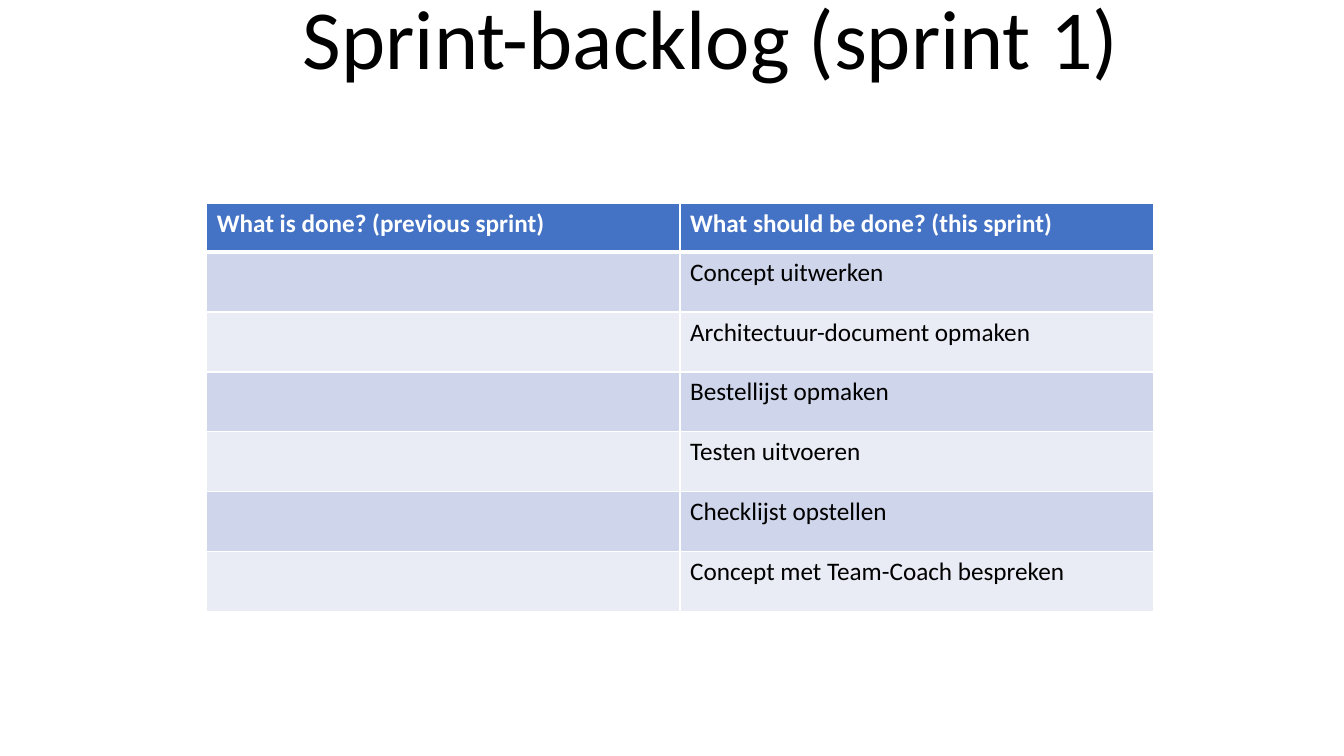
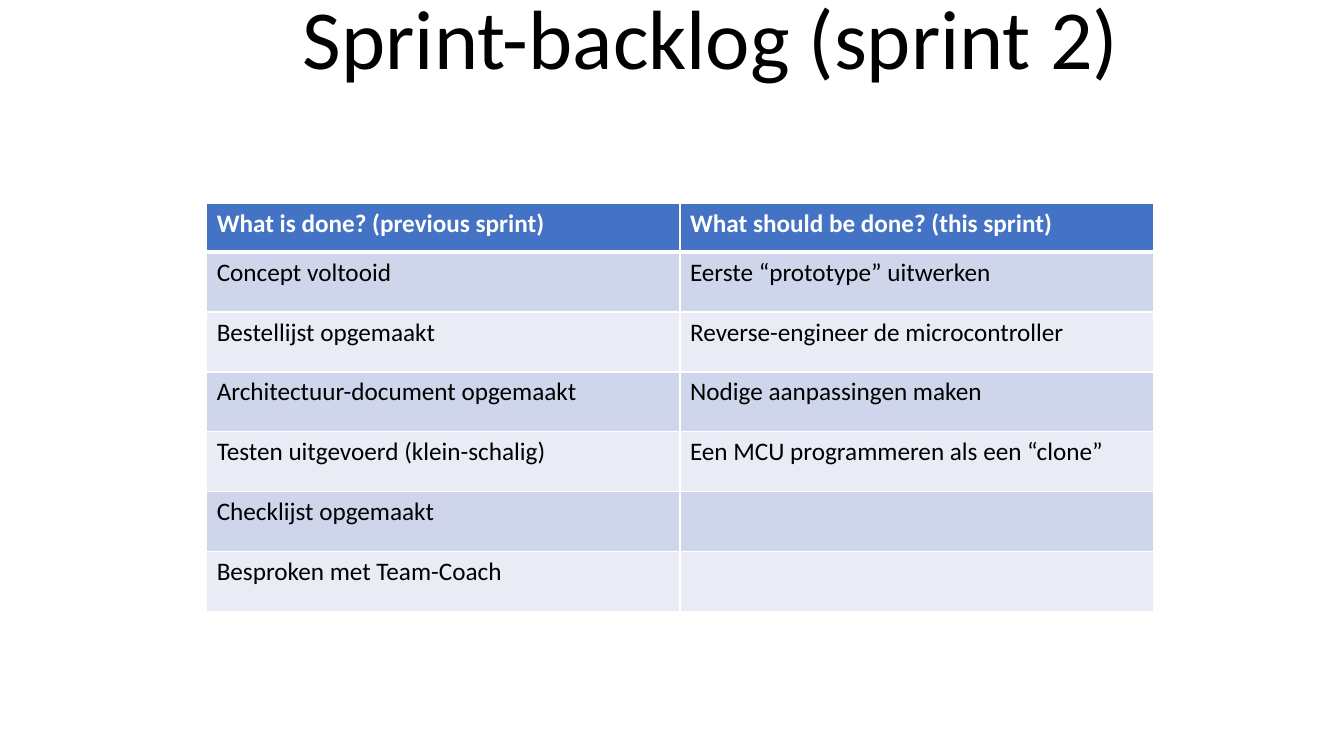
from itertools import zip_longest

from pptx import Presentation
from pptx.dml.color import RGBColor
from pptx.enum.text import MSO_ANCHOR, MSO_AUTO_SIZE, PP_ALIGN
from pptx.oxml.ns import qn
from pptx.util import Inches, Pt
from lxml.etree import SubElement

HEADERS = ("What is done? (previous sprint)", "What should be done? (this sprint)")
SPRINTS = [
    {
        "title": "Sprint-backlog (sprint 1)",
        "done": [],
        "to_do": [
            "Concept uitwerken",
            "Architectuur-document opmaken",
            "Bestellijst opmaken",
            "Testen uitvoeren",
            "Checklijst opstellen",
            "Concept met Team-Coach bespreken",
        ],
    },
    {
        "title": "Sprint-backlog (sprint 2)",
        "done": [
            "Concept voltooid",
            "Bestellijst opgemaakt",
            "Architectuur-document opgemaakt",
            "Testen uitgevoerd (klein-schalig)",
            "Checklijst opgemaakt",
            "Besproken met Team-Coach",
        ],
        "to_do": [
            "Eerste “prototype” uitwerken",
            "Reverse-engineer de microcontroller",
            "Nodige aanpassingen maken",
            "Een MCU programmeren als een “clone”",
        ],
    },
]

COLORS = {
    "text": "000000",
    "header": "4472C4",
    "header_text": "FFFFFF",
    "border": "FFFFFF",
    "odd_row": "CFD5EA",
    "even_row": "E9EBF5",
}
FONT = "Calibri"
LEFT = 2.05
TABLE_TOP, TABLE_WIDTH, TABLE_HEIGHT = 2.02, 9.39, 4.05
HEADER_HEIGHT = 0.48


def write_text(frame, text, size=18, color="text", bold=False, align=PP_ALIGN.LEFT, spacing=1.0):
    paragraph = frame.paragraphs[0]
    paragraph.alignment = align
    paragraph.line_spacing = spacing
    paragraph.font.size = Pt(size)
    if text:
        run = paragraph.add_run()
        run.text = text
        run.font.name = FONT
        run.font.size = Pt(size)
        run.font.bold = bold
        run.font.color.rgb = RGBColor.from_string(COLORS[color])


def set_borders(cell, top=1, bottom=1):
    """Draw the cell's four borders; widths are in points."""
    properties = cell._tc.get_or_add_tcPr()
    for side, width in (("L", 1), ("R", 1), ("T", top), ("B", bottom)):
        line = SubElement(properties, qn(f"a:ln{side}"), w=str(Pt(width)))
        fill = SubElement(line, qn("a:solidFill"))
        SubElement(fill, qn("a:srgbClr"), val=COLORS["border"])


def add_title(slide, text):
    title = slide.shapes.title
    title.left, title.top = Inches(LEFT), Inches(-1.69)
    title.width, title.height = Inches(10), Inches(2.61)
    frame = title.text_frame
    frame.word_wrap = True
    frame.auto_size = MSO_AUTO_SIZE.NONE
    frame.vertical_anchor = MSO_ANCHOR.BOTTOM
    write_text(frame, text, size=60, align=PP_ALIGN.CENTER, spacing=0.9)


def add_backlog_table(slide, done, to_do):
    rows = [HEADERS, *zip_longest(done, to_do, fillvalue="")]
    row_height = (TABLE_HEIGHT - HEADER_HEIGHT) / (len(rows) - 1)
    table = slide.shapes.add_table(
        len(rows), len(HEADERS),
        Inches(LEFT), Inches(TABLE_TOP), Inches(TABLE_WIDTH), Inches(TABLE_HEIGHT),
    ).table
    for row_index, texts in enumerate(rows):
        is_header = row_index == 0
        table.rows[row_index].height = Inches(HEADER_HEIGHT if is_header else row_height)
        fill_color = "header" if is_header else ("even_row", "odd_row")[row_index % 2]
        for column_index, text in enumerate(texts):
            cell = table.cell(row_index, column_index)
            set_borders(cell, top=3 if row_index == 1 else 1, bottom=3 if is_header else 1)
            cell.fill.solid()
            cell.fill.fore_color.rgb = RGBColor.from_string(COLORS[fill_color])
            write_text(cell.text_frame, text, bold=is_header,
                       color="header_text" if is_header else "text")


def main():
    presentation = Presentation()
    presentation.slide_width, presentation.slide_height = Inches(13.33), Inches(7.5)
    title_only = presentation.slide_layouts.get_by_name("Title Only")
    for sprint in SPRINTS:
        slide = presentation.slides.add_slide(title_only)
        add_title(slide, sprint["title"])
        add_backlog_table(slide, sprint["done"], sprint["to_do"])
    presentation.save("out.pptx")


if __name__ == "__main__":
    main()
